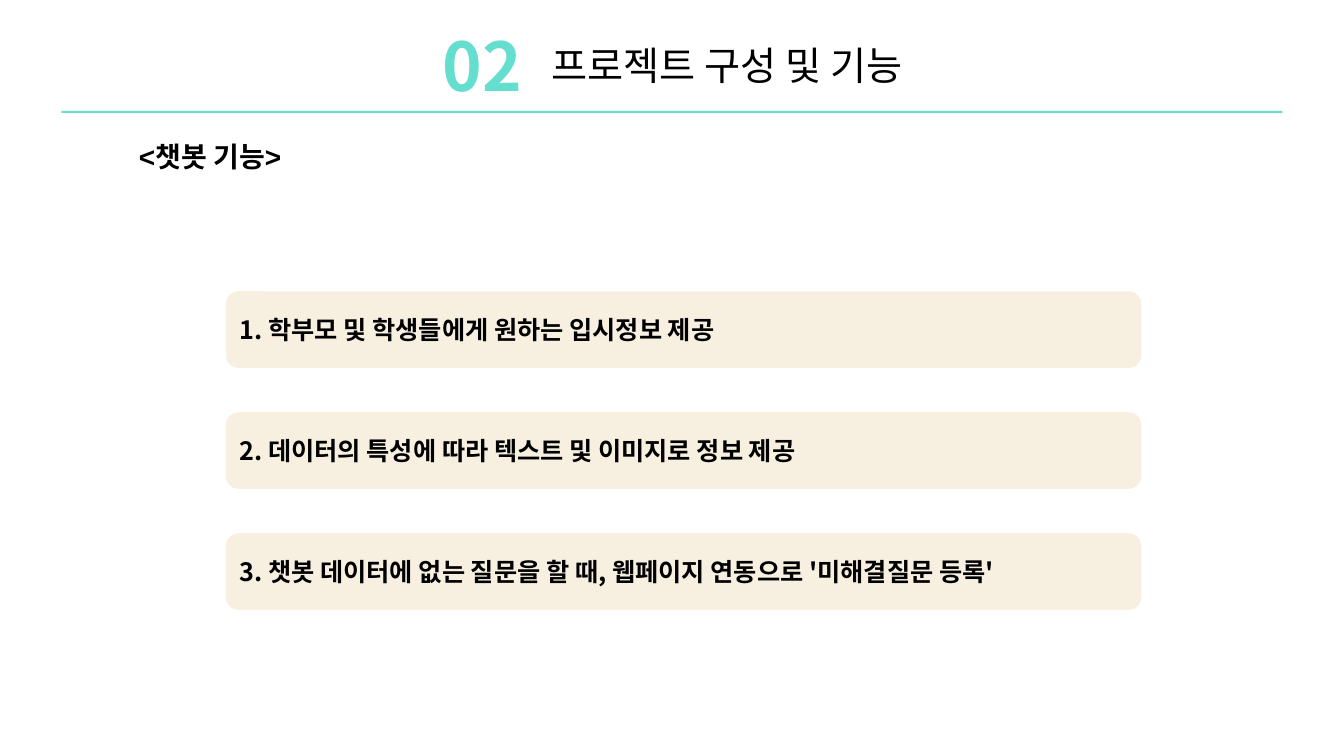
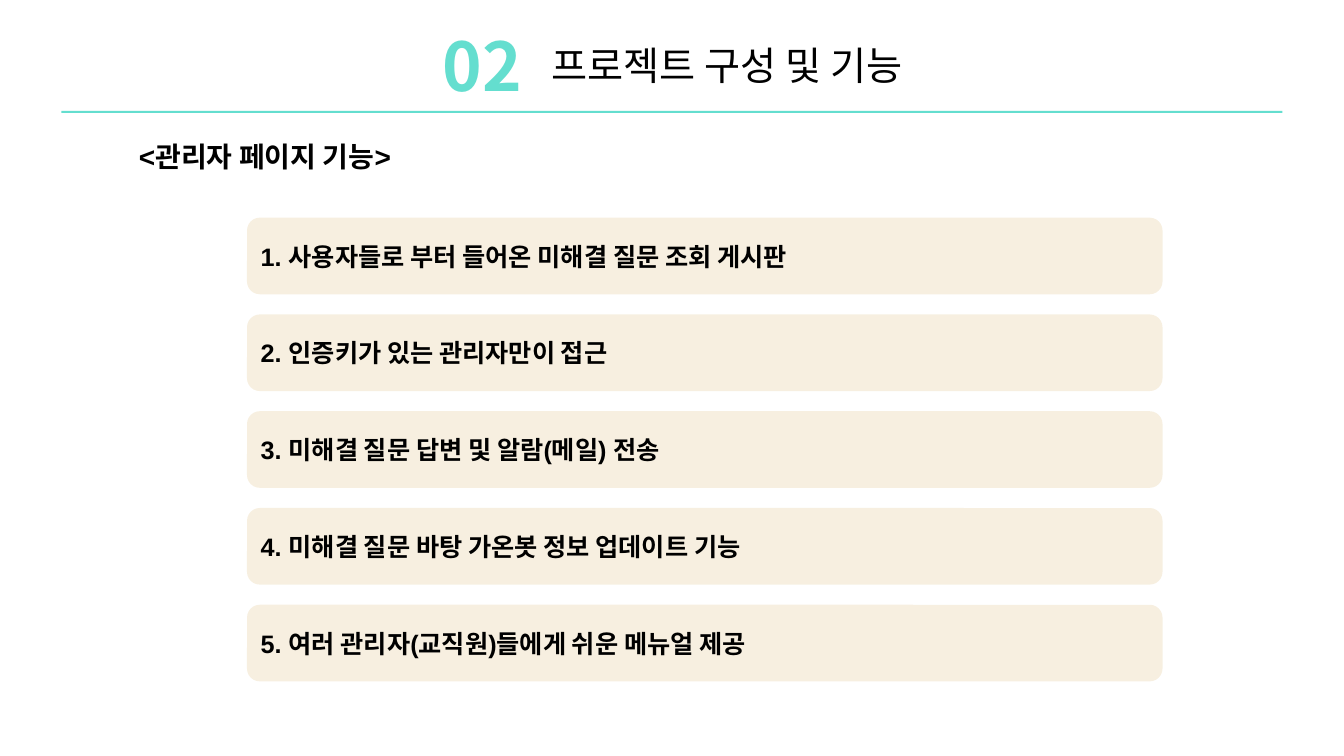
from lxml.etree import SubElement
from pptx import Presentation
from pptx.dml.color import RGBColor
from pptx.enum.shapes import MSO_SHAPE
from pptx.enum.text import MSO_ANCHOR, MSO_AUTO_SIZE, PP_ALIGN
from pptx.oxml.ns import qn
from pptx.util import Inches, Pt

# Content
SECTION_NUMBER = "02"
SECTION_TITLE = "프로젝트 구성 및 기능"
SLIDES = [
    {
        "heading": "<챗봇 기능>",
        "font": "Noto Sans CJK KR",
        "left": 2.24, "top": 2.89, "pitch": 1.2,
        "items": [
            "학부모 및 학생들에게 원하는 입시정보 제공",
            "데이터의 특성에 따라 텍스트 및 이미지로 정보 제공",
            "챗봇 데이터에 없는 질문을 할 때, 웹페이지 연동으로 '미해결질문 등록'",
        ],
    },
    {
        "heading": "<관리자 페이지 기능>",
        "font": "Arial",
        "left": 2.45, "top": 2.16, "pitch": 0.96,
        "items": [
            "사용자들로 부터 들어온 미해결 질문 조회 게시판",
            "인증키가 있는 관리자만이 접근",
            "미해결 질문 답변 및 알람(메일) 전송",
            "미해결 질문 바탕 가온봇 정보 업데이트 기능",
            "여러 관리자(교직원)들에게 쉬운 메뉴얼 제공",
        ],
    },
]

# Shared style
COLORS = {"accent": "64DECF", "card": "BF8200", "text": "000000"}
KOREAN_FONT = "Noto Sans CJK KR"
CARD_OPACITY = 12
CARD_WIDTH, CARD_HEIGHT = 9.08, 0.76


def color(name):
    return RGBColor.from_string(COLORS[name])


def write(shape, text, size, font="Arial", bold=False, ink="text", anchor=MSO_ANCHOR.TOP):
    frame = shape.text_frame
    frame.text = text
    frame.word_wrap = True
    frame.auto_size = MSO_AUTO_SIZE.NONE
    frame.vertical_anchor = anchor
    para = frame.paragraphs[0]
    para.alignment = PP_ALIGN.LEFT
    span = para.runs[0]
    span.font.size = Pt(size)
    span.font.name = font
    span.font.bold = bold
    span.font.color.rgb = color(ink)
    # Hangul takes the East Asian typeface
    SubElement(span.font._element, qn("a:ea"), typeface=KOREAN_FONT)


def add_text(page, place, text, size, **style):
    box = page.shapes.add_textbox(*map(Inches, place))
    write(box, text, size, **style)


def add_filled(page, kind, place, fill):
    shape = page.shapes.add_shape(kind, *map(Inches, place))
    shape.shadow.inherit = False
    shape.fill.solid()
    shape.fill.fore_color.rgb = color(fill)
    shape.line.fill.background()
    return shape


def add_header(page, heading):
    title = page.shapes.title
    title.left, title.top, title.width, title.height = map(Inches, (5.37, 0.36, 4.43, 0.57))
    write(title, SECTION_TITLE, 28)
    add_text(page, (4.29, 0.19, 1.25, 0.91), SECTION_NUMBER, 48,
             font=KOREAN_FONT, bold=True, ink="accent")
    add_filled(page, MSO_SHAPE.RECTANGLE, (0.61, 1.1, 12.11, 0.02), "accent")
    add_text(page, (1.28, 1.33, 11.23, 0.61), heading, 20, bold=True)


def add_card(page, place, text, font):
    card = add_filled(page, MSO_SHAPE.ROUNDED_RECTANGLE, place, "card")
    tint = card.fill._xPr.find(qn("a:solidFill"))[0]
    SubElement(tint, qn("a:alpha"), val=str(CARD_OPACITY * 1000))
    write(card, text, 18, font=font, bold=True, anchor=MSO_ANCHOR.MIDDLE)


def main():
    deck = Presentation()
    deck.slide_width, deck.slide_height = Inches(13.33), Inches(7.5)
    title_only = deck.slide_layouts[5]
    for content in SLIDES:
        page = deck.slides.add_slide(title_only)
        add_header(page, content["heading"])
        # Numbered cards at an equal pitch
        for index, item in enumerate(content["items"]):
            top = content["top"] + index * content["pitch"]
            place = (content["left"], top, CARD_WIDTH, CARD_HEIGHT)
            add_card(page, place, f"{index + 1}. {item}", content["font"])
    deck.save("out.pptx")


if __name__ == "__main__":
    main()
